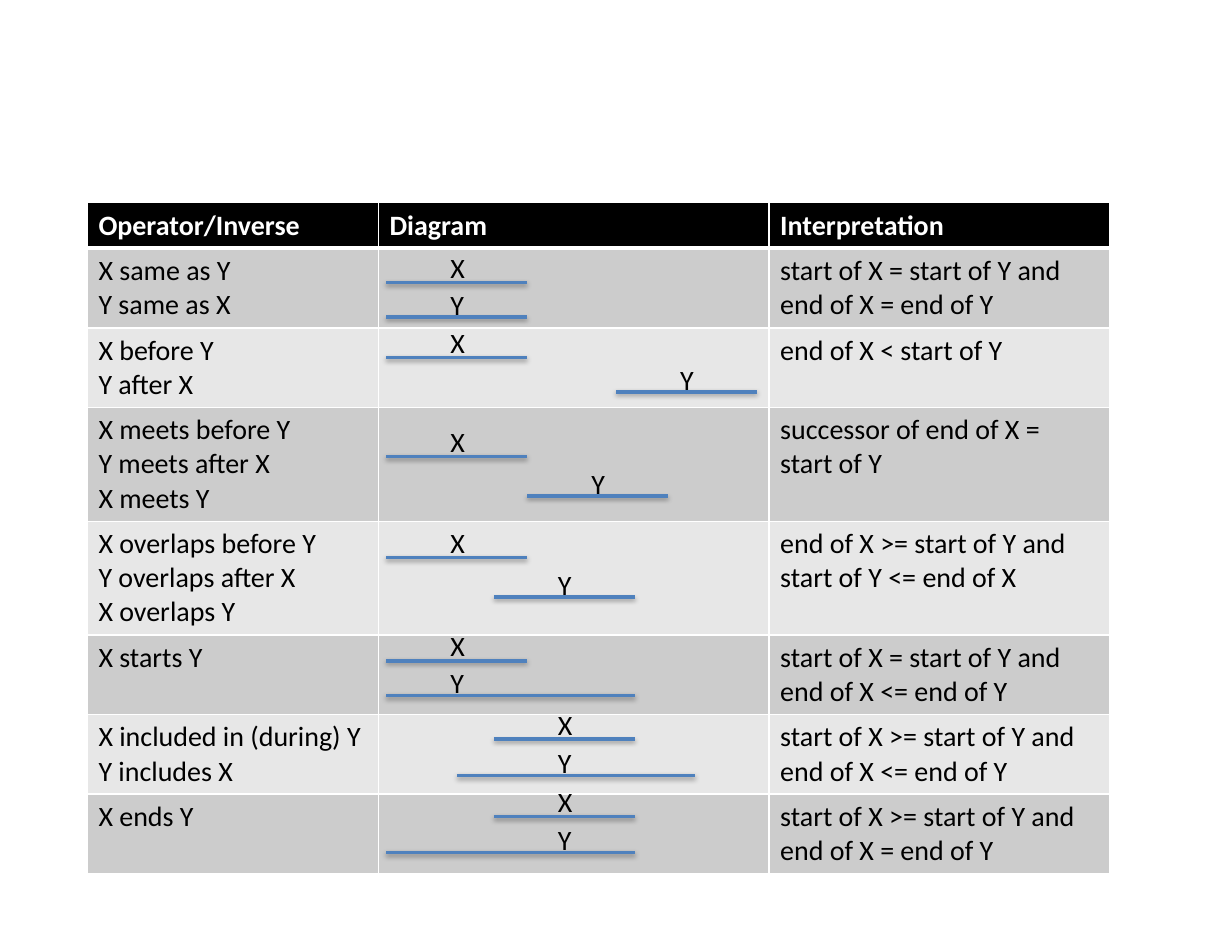
"""Build a slide with a table of interval operators and their line diagrams."""
from dataclasses import dataclass

from lxml import etree
from pptx import Presentation
from pptx.dml.color import RGBColor
from pptx.enum.shapes import MSO_CONNECTOR
from pptx.enum.text import MSO_AUTO_SIZE, PP_ALIGN
from pptx.oxml import parse_xml
from pptx.oxml.ns import qn
from pptx.util import Cm, Pt

STRAIGHT = MSO_CONNECTOR.STRAIGHT
GROW_SHAPE = MSO_AUTO_SIZE.SHAPE_TO_FIT_TEXT
CENTER = PP_ALIGN.CENTER

FONT = "Calibri"
FONT_SIZE = Pt(18)
BLACK, WHITE, BLUE = "000000", "FFFFFF", "4F81BD"
BANDS = ("CCCCCC", "E7E7E7")
HEADINGS = ("Operator/Inverse", "Diagram", "Interpretation")
COLUMN_WIDTHS = (6.6, 8.86, 7.72)
ROW_HEIGHT = 1.03
TABLE_LEFT, TABLE_TOP, TABLE_HEIGHT = 1.98, 4.6, 15.01
LABEL_WIDTH = 0.79
SHORT = 3.2
LEFT = 8.76
MIDDLE = 11.2

SHADOW = (
    '<a:effectLst xmlns:a="http://schemas.openxmlformats.org/drawingml/2006/main">'
    '<a:outerShdw blurRad="40000" dist="20000" dir="5400000" rotWithShape="0">'
    '<a:srgbClr val="000000"><a:alpha val="38000"/></a:srgbClr>'
    "</a:outerShdw></a:effectLst>"
)


@dataclass
class Interval:
    """A horizontal line, in centimetres."""

    start: float
    level: float
    length: float = SHORT


@dataclass
class Relation:
    """One table row and the two intervals drawn in it."""

    operators: str
    meaning: str
    x: Interval
    y: Interval


RELATIONS = (
    Relation("X same as Y\vY same as X", "start of X = start of Y and end of X = end of Y",
             Interval(LEFT, 6.4), Interval(LEFT, 7.19)),
    Relation("X before Y\nY after X", "end of X < start of Y",
             Interval(LEFT, 8.1), Interval(13.97, 8.89)),
    Relation("X meets before Y\vY meets after X\nX meets Y",
             "successor of end of X = start of Y",
             Interval(LEFT, 10.36), Interval(LEFT + SHORT, 11.25)),
    Relation("X overlaps before Y\nY overlaps after X\nX overlaps Y",
             "end of X >= start of Y and start of Y <= end of X",
             Interval(LEFT, 12.65), Interval(MIDDLE, 13.54)),
    Relation("X starts Y", "start of X = start of Y and end of X <= end of Y",
             Interval(LEFT, 14.99), Interval(LEFT, 15.77, 5.64)),
    Relation("X included in (during) Y\nY includes X",
             "start of X >= start of Y and end of X <= end of Y",
             Interval(MIDDLE, 16.76), Interval(10.36, 17.58, 5.41)),
    Relation("X ends Y", "start of X >= start of Y and end of X = end of Y",
             Interval(MIDDLE, 18.52), Interval(LEFT, 19.33, 5.64)),
)


def color(value: str) -> RGBColor:
    """Turn a hex string into a colour."""
    return RGBColor.from_string(value)


def style_paragraphs(text_frame, font_color: str, bold: bool = False) -> None:
    """Set the slide's font on every paragraph."""
    for paragraph in text_frame.paragraphs:
        font = paragraph.font
        font.name, font.size, font.bold = FONT, FONT_SIZE, bold
        font.color.rgb = color(font_color)


def add_border(cell, side: str, width: float) -> None:
    """Add a white border to one side of a cell."""
    properties = cell._tc.get_or_add_tcPr()
    line = etree.SubElement(properties, qn(f"a:ln{side}"), w=str(Pt(width)))
    fill = etree.SubElement(line, qn("a:solidFill"))
    etree.SubElement(fill, qn("a:srgbClr"), val=WHITE)


def fill_cell(cell, text: str, fill: str, is_header: bool, is_below_header: bool) -> None:
    """Write and format one table cell."""
    cell.text = text
    style_paragraphs(cell.text_frame, WHITE if is_header else BLACK, is_header)
    for side in "LRTB":
        thick = (is_header and side == "B") or (is_below_header and side == "T")
        add_border(cell, side, 3 if thick else 1)
    cell.fill.solid()
    cell.fill.fore_color.rgb = color(fill)


def add_operator_table(slide) -> None:
    """Add the table of operators and interpretations."""
    rows = [HEADINGS] + [(relation.operators, "", relation.meaning) for relation in RELATIONS]
    frame = slide.shapes.add_table(
        len(rows), len(HEADINGS), Cm(TABLE_LEFT), Cm(TABLE_TOP),
        Cm(sum(COLUMN_WIDTHS)), Cm(TABLE_HEIGHT))
    table = frame.table
    for column, width in zip(table.columns, COLUMN_WIDTHS):
        column.width = Cm(width)
    for row_index, texts in enumerate(rows):
        table.rows[row_index].height = Cm(ROW_HEIGHT)
        fill = BANDS[(row_index - 1) % 2] if row_index else BLACK
        for column_index, text in enumerate(texts):
            fill_cell(table.cell(row_index, column_index), text, fill,
                      row_index == 0, row_index == 1)
    frame.height = Cm(TABLE_HEIGHT)


def add_interval(slide, interval: Interval) -> None:
    """Draw an interval as a shadowed line."""
    level = Cm(interval.level)
    connector = slide.shapes.add_connector(
        STRAIGHT, Cm(interval.start), level, Cm(interval.start + interval.length), level)
    connector.line.color.rgb = color(BLUE)
    connector.line.width = Pt(2)
    connector._element.spPr.append(parse_xml(SHADOW))


def add_label(slide, text: str, center: float, top: float, height: float) -> None:
    """Add an interval's letter around a centre."""
    shape = slide.shapes.add_textbox(
        Cm(center - LABEL_WIDTH / 2), Cm(top), Cm(LABEL_WIDTH), Cm(height))
    text_frame = shape.text_frame
    text_frame.word_wrap = False
    text_frame.auto_size = GROW_SHAPE
    text_frame.text = text
    text_frame.paragraphs[0].alignment = CENTER
    style_paragraphs(text_frame, BLACK)


def add_diagram(slide, relation: Relation) -> None:
    """Draw the two labelled intervals of a relation."""
    x, y = relation.x, relation.y
    add_interval(slide, x)
    add_interval(slide, y)
    x_center = x.start + SHORT / 2
    y_center = y.start + SHORT / 2 if y.length == SHORT else x_center
    add_label(slide, "X", x_center, x.level - 0.85, 0.94)
    add_label(slide, "Y", y_center, y.level - 0.8, 1.02)


def main() -> None:
    """Build and save the presentation."""
    presentation = Presentation()
    presentation.slide_width, presentation.slide_height = Cm(27.94), Cm(21.59)
    slide = presentation.slides.add_slide(presentation.slide_layouts[6])
    add_operator_table(slide)
    for relation in RELATIONS:
        add_diagram(slide, relation)
    presentation.save("out.pptx")


if __name__ == "__main__":
    main()
